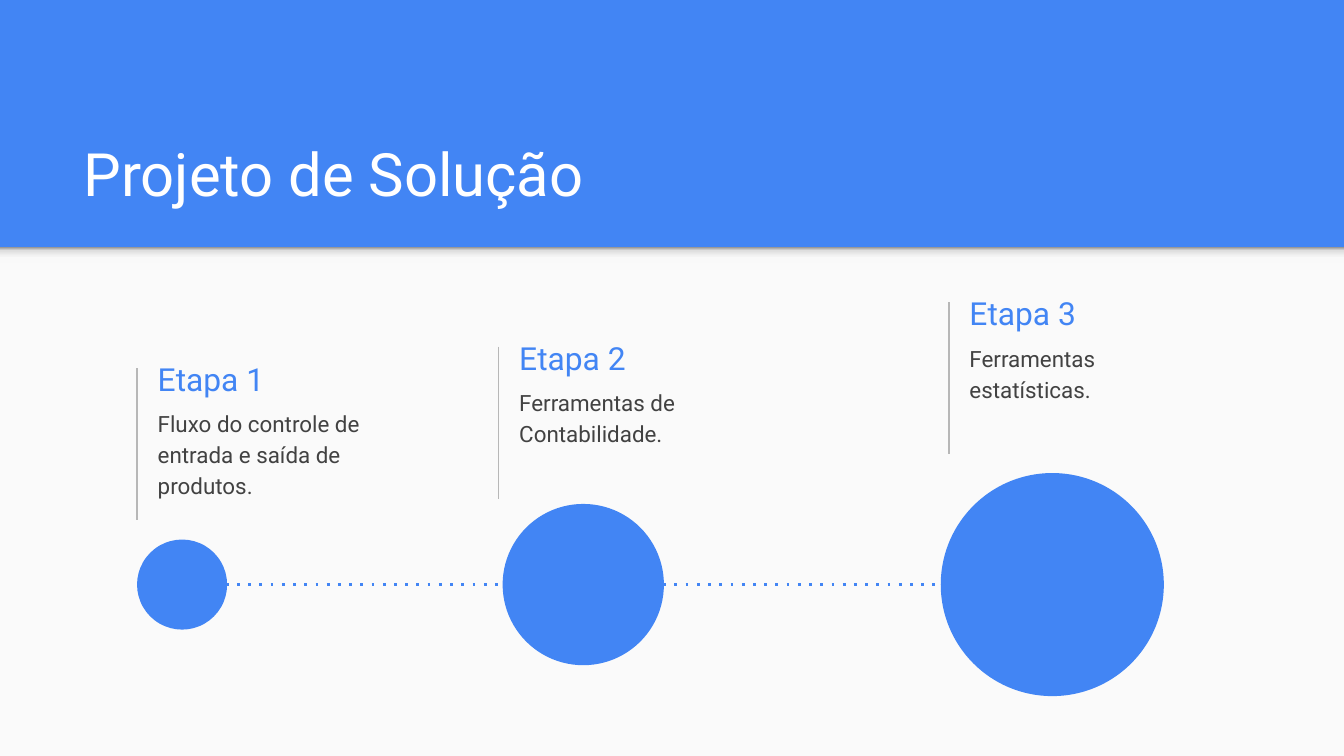
from pptx import Presentation
from pptx.dml.color import RGBColor
from pptx.enum.dml import MSO_LINE
from pptx.enum.shapes import MSO_CONNECTOR, MSO_SHAPE
from pptx.enum.text import MSO_ANCHOR, MSO_AUTO_SIZE, PP_ALIGN
from pptx.oxml import parse_xml
from pptx.oxml.ns import nsdecls, qn
from pptx.util import Inches, Pt

BLUE = RGBColor(0x42, 0x85, 0xF4)
WHITE = RGBColor(0xFF, 0xFF, 0xFF)
PANEL = RGBColor(0xFA, 0xFA, 0xFA)
RULE = RGBColor(0xB7, 0xB7, 0xB7)
TEXT = RGBColor(0x42, 0x42, 0x42)

presentation = Presentation()
presentation.slide_width = Inches(10)
presentation.slide_height = presentation.slide_width * 9 // 16
slide = presentation.slides.add_slide(presentation.slide_layouts[5])
slide.background.fill.solid()
slide.background.fill.fore_color.rgb = BLUE

UNIT = presentation.slide_width // 100
COLUMNS, ROWS = 100, 56.25
HEADER_ROWS = 18.4
AXIS_ROW = 43.5
RULE_ROWS = 11.3


def add_shape(kind, left, top, width, height, color):
    box = [round(value * UNIT) for value in (left, top, width, height)]
    shape = slide.shapes.add_shape(kind, *box)
    shape.shadow.inherit = False
    shape.line.fill.background()
    shape.fill.solid()
    shape.fill.fore_color.rgb = color
    return shape


def write(shape, text, size, color, anchor):
    frame = shape.text_frame
    frame.word_wrap = True
    frame.auto_size = MSO_AUTO_SIZE.NONE
    frame.vertical_anchor = anchor
    frame.margin_left = frame.margin_right = UNIT
    frame.margin_top = frame.margin_bottom = UNIT
    frame.text = text
    paragraph = frame.paragraphs[0]
    paragraph.alignment = PP_ALIGN.LEFT
    paragraph.font.name = "Roboto"
    paragraph.font.size = Pt(size)
    paragraph.font.color.rgb = color
    return paragraph


add_shape(MSO_SHAPE.RECTANGLE, 0, HEADER_ROWS, COLUMNS, ROWS - HEADER_ROWS, PANEL)
header_shade = add_shape(MSO_SHAPE.RECTANGLE, 0, HEADER_ROWS, COLUMNS, 1.2, PANEL)
stops = "".join(
    f'<a:gs pos="{share * 1000}"><a:srgbClr val="{color}"/></a:gs>'
    for share, color in [(0, "F9F9F9"), (36, "F9F9F9"), (80, "DEDEDE"), (100, "999999")]
)
gradient = parse_xml(
    f'<a:gradFill {nsdecls("a")}><a:gsLst>{stops}</a:gsLst>'
    '<a:lin ang="16200000" scaled="0"/></a:gradFill>'
)
properties = header_shade._element.spPr
properties.replace(properties.find(qn("a:solidFill")), gradient)

title = slide.shapes.title
title.left, title.top = round(5.2 * UNIT), round(8.1 * UNIT)
title.width, title.height = round(89.9 * UNIT), round(8.4 * UNIT)
write(title, "Projeto de Solução", 32, WHITE, MSO_ANCHOR.BOTTOM)

stages = [
    ("Etapa 1", "Fluxo do controle de entrada e saída de produtos.", 10.2, 27.4, 10.2, 6.7),
    ("Etapa 2", "Ferramentas de Contabilidade.", 37.1, 25.8, 37.4, 12),
    ("Etapa 3", "Ferramentas estatísticas.", 70.6, 22.5, 70, 16.6),
]

lines = [(left, top, left, top + RULE_ROWS, RULE, 0.75) for _, _, left, top, _, _ in stages]
lines.append((16.8, AXIS_ROW, 70, AXIS_ROW, BLUE, 1.5))
for *ends, color, width in lines:
    connector = slide.shapes.add_connector(
        MSO_CONNECTOR.STRAIGHT, *[round(value * UNIT) for value in ends]
    )
    connector.line.color.rgb = color
    connector.line.width = Pt(width)
    if color == BLUE:
        connector.line.dash_style = MSO_LINE.ROUND_DOT
        connector._element.spPr.find(".//" + qn("a:prstDash")).set("val", "dot")
    connector._element.spPr.append(parse_xml(f'<a:effectLst {nsdecls("a")}/>'))

for name, description, left, top, circle_left, diameter in stages:
    text_left, text_top = left + 0.55, top - 1.35
    heading = slide.shapes.add_textbox(
        *[round(value * UNIT) for value in (text_left, text_top, 19.8, 4.3)]
    )
    write(heading, name, 17, BLUE, MSO_ANCHOR.MIDDLE)
    body = slide.shapes.add_textbox(
        *[round(value * UNIT) for value in (text_left, text_top + 3.2, 19.8, 7.9)]
    )
    paragraph = write(body, description, 12, TEXT, MSO_ANCHOR.TOP)
    paragraph.line_spacing = 1.15
    paragraph.space_after = Pt(16)
    add_shape(MSO_SHAPE.OVAL, circle_left, AXIS_ROW - diameter / 2, diameter, diameter, BLUE)

presentation.save("out.pptx")
